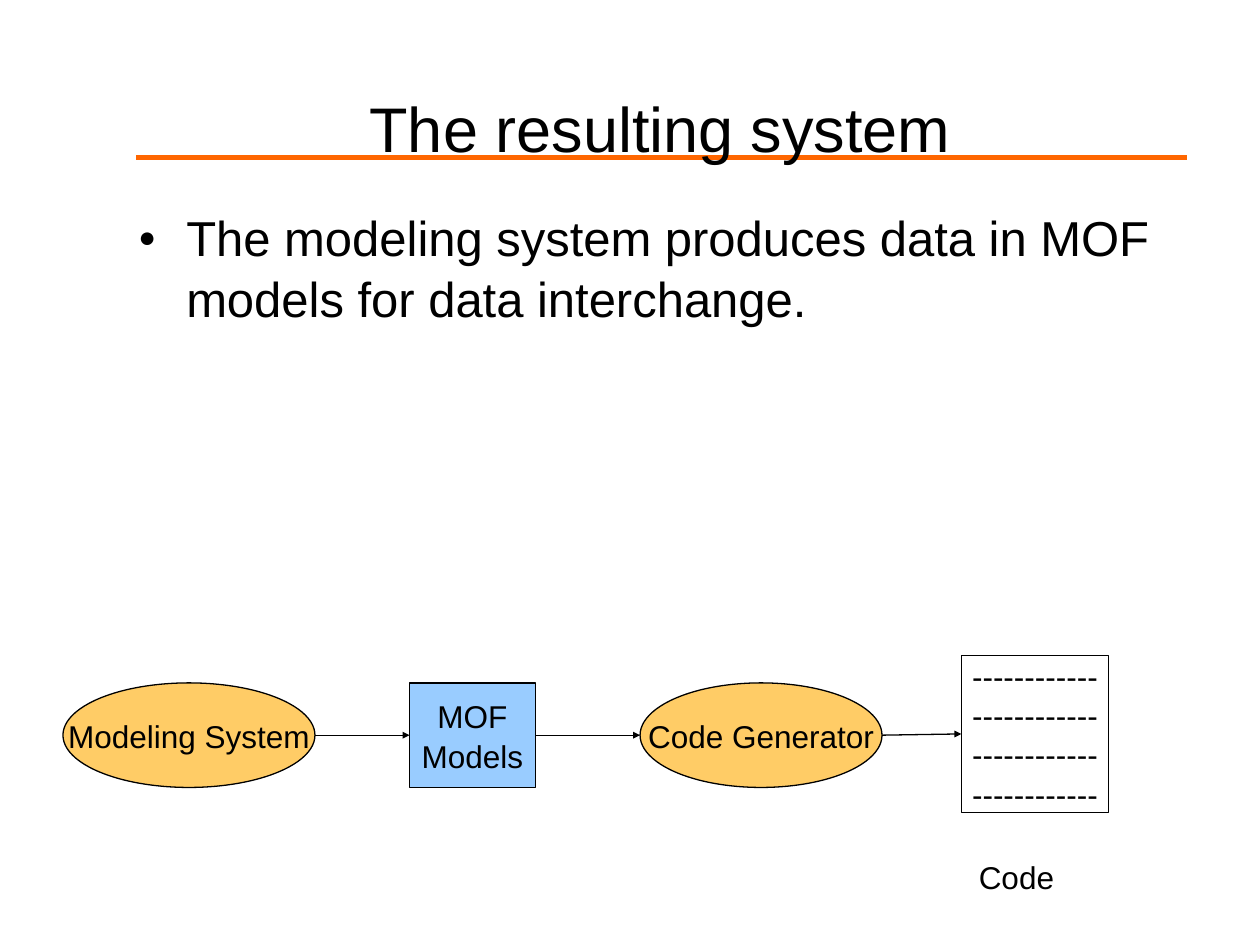
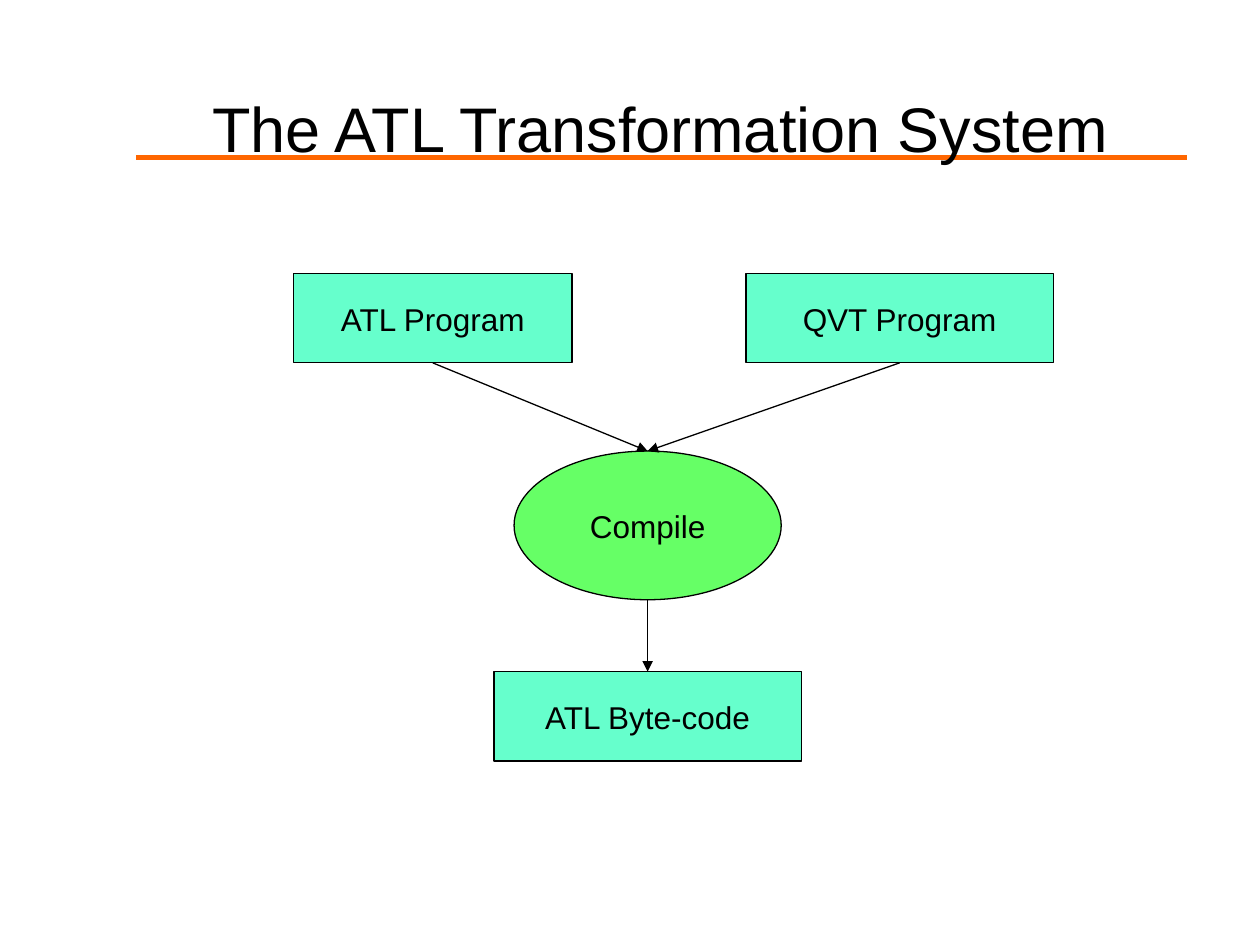
from lxml import etree
from pptx import Presentation
from pptx.dml.color import RGBColor
from pptx.enum import shapes, text
from pptx.oxml import ns
from pptx.util import Inches, Pt

BLACK = RGBColor(0x00, 0x00, 0x00)
WHITE = RGBColor(0xFF, 0xFF, 0xFF)
RULE = RGBColor(0xFF, 0x66, 0x00)
AMBER = RGBColor(0xFF, 0xCC, 0x66)
BLUE = RGBColor(0x99, 0xCC, 0xFF)
MINT = RGBColor(0x66, 0xFF, 0xCC)
GREEN = RGBColor(0x66, 0xFF, 0x66)
FONT = "Arial"
RECT = shapes.MSO_SHAPE.RECTANGLE
OVAL = shapes.MSO_SHAPE.OVAL
CENTER = text.PP_ALIGN.CENTER
LEFT = text.PP_ALIGN.LEFT
MIDDLE = text.MSO_ANCHOR.MIDDLE


def write(shape, lines, size=18, align=CENTER, anchor=MIDDLE, wrap=False):
    frame = shape.text_frame
    frame.word_wrap = wrap
    frame.vertical_anchor = anchor
    for i, line in enumerate(lines):
        para = frame.paragraphs[0] if i == 0 else frame.add_paragraph()
        para.alignment = align
        para.line_spacing = 1.04
        run = para.add_run()
        run.text = line
        run.font.name = FONT
        run.font.size = Pt(size)
        run.font.color.rgb = BLACK


def link(slide, start, end, color=BLACK, width=0.75, head=None):
    """Draw a straight line; head is the arrowhead size at its end."""
    line = slide.shapes.add_connector(
        shapes.MSO_CONNECTOR.STRAIGHT, *map(Inches, start + end))
    line.line.color.rgb = color
    line.line.width = Pt(width)
    props = line._element.spPr
    if head:
        etree.SubElement(props.find(ns.qn("a:ln")), ns.qn("a:tailEnd"),
                         type="triangle", w=head, len=head)
    etree.SubElement(props, ns.qn("a:effectLst"))
    return line


deck = Presentation()
deck.slide_width, deck.slide_height = Inches(10), Inches(7.5)

# Each node: name, shape, fill, place, lines
flow = [
    ("model", OVAL, AMBER, (0.5, 5.42, 2, 0.83), ["Modeling System"]),
    ("mof", RECT, BLUE, (3.25, 5.42, 1, 0.83), ["MOF", "Models"]),
    ("maker", OVAL, AMBER, (5.08, 5.42, 1.92, 0.83), ["Code Generator"]),
    ("code", RECT, WHITE, (7.63, 5.2, 1.17, 1.25), ["-" * 12] * 4),
]
build = [
    ("atl", RECT, MINT, (2.33, 2.17, 2.21, 0.71), ["ATL Program"]),
    ("qvt", RECT, MINT, (5.92, 2.17, 2.44, 0.71), ["QVT Program"]),
    ("compile", OVAL, GREEN, (4.08, 3.58, 2.12, 1.18), ["Compile"]),
    ("bytes", RECT, MINT, (3.92, 5.33, 2.44, 0.71), ["ATL Byte-code"]),
]
# Each slide: title, nodes, links, side left, side entered, arrowhead size
plans = [
    ("The resulting system", flow,
     [("model", "mof"), ("mof", "maker"), ("maker", "code")], 3, 1, "sm"),
    ("The ATL Transformation System", build,
     [("atl", "compile"), ("qvt", "compile"), ("compile", "bytes")],
     2, 0, "med"),
]

for title, nodes, links, exit_side, entry_side, head in plans:
    slide = deck.slides.add_slide(deck.slide_layouts[6])
    link(slide, (1.08, 1.25), (9.42, 1.25), RULE, 2.75)
    box = slide.shapes.add_textbox(*map(Inches, (0.91, 0.6, 8.66, 0.79)))
    write(box, [title], 36, wrap=True)

    drawn, sides = {}, {}
    for name, kind, fill, (x, y, w, h), lines in nodes:
        node = slide.shapes.add_shape(kind, *map(Inches, (x, y, w, h)))
        node.shadow.inherit = False
        node.fill.solid()
        node.fill.fore_color.rgb = fill
        node.line.color.rgb = BLACK
        node.line.width = Pt(0.75)
        write(node, lines)
        drawn[name] = (node, kind)
        sides[name] = [(x + w / 2, y), (x, y + h / 2),
                       (x + w / 2, y + h), (x + w, y + h / 2)]

    for first, last in links:
        arrow = link(slide, sides[first][exit_side],
                     sides[last][entry_side], head=head)
        node, kind = drawn[first]
        if kind == RECT:
            arrow.begin_connect(node, exit_side)
        node, kind = drawn[last]
        if kind == RECT:
            arrow.end_connect(node, entry_side)

# Caption and bullet of the first slide
first = deck.slides[0]
label = first.shapes.add_textbox(*map(Inches, (7.67, 6.75, 0.8, 0.4)))
write(label, ["Code"], align=LEFT, anchor=text.MSO_ANCHOR.TOP)

body = first.shapes.add_textbox(*map(Inches, (1, 1.58, 8.51, 4.92)))
write(body, ["The modeling system produces data in MOF models "
             "for data interchange."], 28, LEFT, text.MSO_ANCHOR.TOP, True)
para = body.text_frame.paragraphs[0]
para.space_before = Pt(7)
props = para._p.get_or_add_pPr()
props.set("marL", str(Inches(0.38)))
props.set("indent", str(Inches(-0.38)))
etree.SubElement(props, ns.qn("a:buSzPct"), val="60000")
etree.SubElement(props, ns.qn("a:buFont"), typeface=FONT)
etree.SubElement(props, ns.qn("a:buChar"), char="●")

deck.save("out.pptx")
